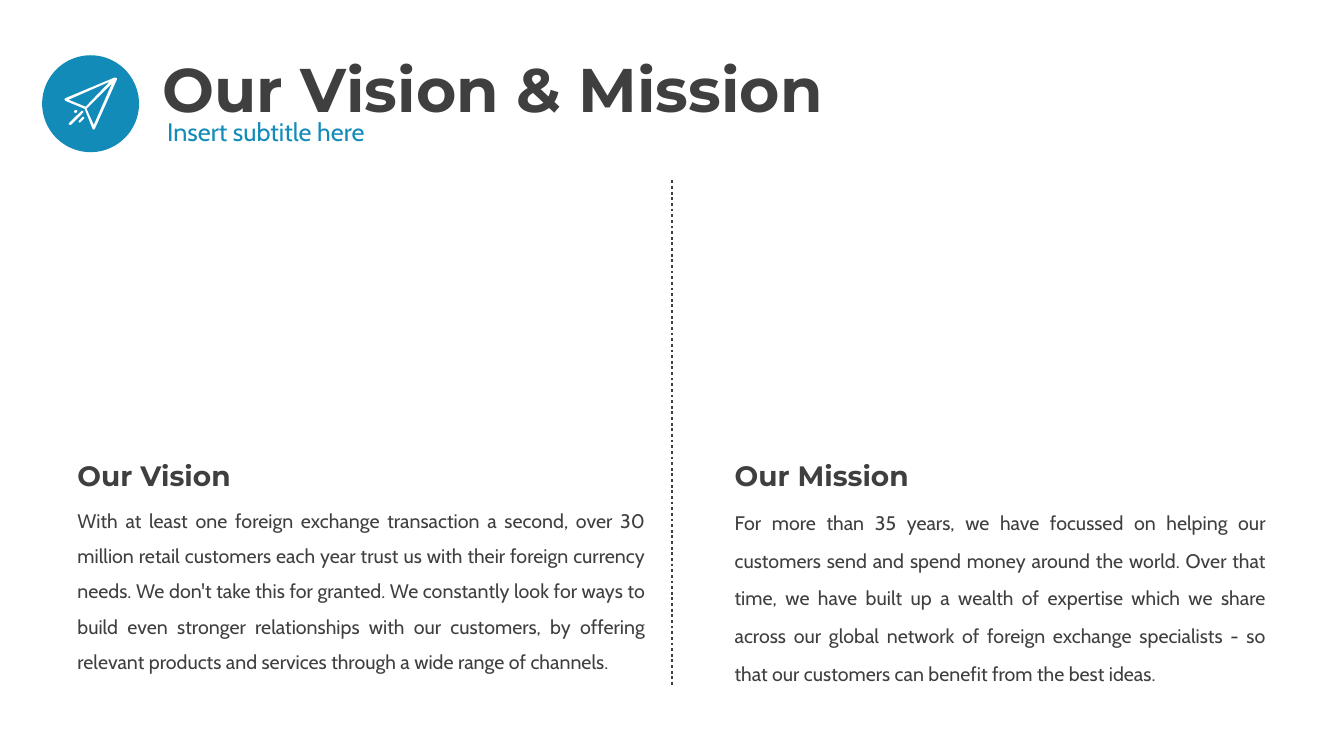
from lxml import etree
from pptx import Presentation
from pptx.dml.color import RGBColor
from pptx.enum.dml import MSO_LINE_DASH_STYLE as DASH
from pptx.enum.shapes import MSO_CONNECTOR, MSO_SHAPE
from pptx.enum.text import MSO_ANCHOR, MSO_AUTO_SIZE, PP_ALIGN
from pptx.oxml.ns import qn
from pptx.util import Pt

COLORS = {"ink": "3F3F3F", "blue": "138BB9", "white": "FFFFFF"}
HEADING, BODY = "Montserrat", "Cabin"


def write(shape, text, size, font=BODY, color="ink", bold=False,
          align=PP_ALIGN.LEFT, spacing=1.0, anchor=MSO_ANCHOR.TOP):
    frame = shape.text_frame
    frame.word_wrap = True
    frame.auto_size = MSO_AUTO_SIZE.NONE
    frame.vertical_anchor = anchor
    frame.text = text
    paragraph = frame.paragraphs[0]
    paragraph.alignment = align
    paragraph.line_spacing = spacing
    style = paragraph.runs[0].font
    style.name, style.size, style.bold = font, Pt(size), bold
    style.color.rgb = RGBColor.from_string(COLORS[color])


def paint(shape, color):
    shape.shadow.inherit = False
    shape.fill.solid()
    shape.fill.fore_color.rgb = RGBColor.from_string(COLORS[color])
    shape.line.fill.background()


deck = Presentation()
deck.slide_width, deck.slide_height = Pt(960), Pt(540)
slide = deck.slides.add_slide(deck.slide_layouts[5])
shapes = slide.shapes

# Header
title = shapes.title
title.left, title.top, title.width, title.height = Pt(108.7), Pt(28.8), Pt(792), Pt(74.2)
write(title, "Our Vision & Mission", 44, HEADING, bold=True, spacing=0.9,
      anchor=MSO_ANCHOR.MIDDLE)
subtitle = shapes.add_textbox(Pt(112.3), Pt(82.1), Pt(794), Pt(46.8))
write(subtitle, "Insert subtitle here", 18, color="blue", spacing=0.9)

# Paper plane badge
badge = shapes.add_shape(MSO_SHAPE.OVAL, Pt(30.1), Pt(39.5), Pt(69.2), Pt(69.2))
paint(badge, "blue")
plane_contours = [
    # body, then its two cut-out wings
    [(82.8, 55.4), (81.9, 55.4), (46.4, 70.3), (46.1, 71.2), (46.6, 72), (60.5, 77.8),
     (66.2, 92.2), (67, 92.7), (67.7, 92.2), (83.5, 56.9), (83.5, 56)],
    [(49, 71.3), (78.5, 58.3), (61.2, 76.3)],
    [(67, 89.3), (61.9, 77.8), (79.9, 59.8)],
    # dot and two streaks
    [(53, 79.2), (54.2, 78.5), (55.4, 79.2), (55, 80.2), (54, 80.7), (53, 80.3)],
    [(58.3, 79.2), (59.4, 79.3), (59.6, 80.2), (59, 80.9), (51, 89.1), (50, 89.3),
     (49, 88.6), (49.6, 87.6)],
    [(59, 83.5), (60.2, 83.7), (60.1, 84.7), (57.6, 87.3), (56.6, 87.7), (56.1, 86.6)],
]
first_x, first_y = plane_contours[0][0]
plane_builder = shapes.build_freeform(Pt(first_x), Pt(first_y))
for number, contour in enumerate(plane_contours):
    points = [(Pt(x), Pt(y)) for x, y in contour]
    if number:
        plane_builder.move_to(*points[0])
    plane_builder.add_line_segments(points[1:], close=True)
paint(plane_builder.convert_to_shape(), "white")

# Two columns: left, heading width, body width, line spacing, heading, body
columns = [
    (48.2, 312, 420, 1.5, "Our Vision",
     "With at least one foreign exchange transaction a second, over 30 million retail "
     "customers each year trust us with their foreign currency needs. We don't take this "
     "for granted. We constantly look for ways to build even stronger relationships with "
     "our customers, by offering relevant products and services through a wide range of "
     "channels."),
    (517.7, 247, 393.8, 1.6, "Our Mission",
     "For more than 35 years, we have focussed on helping our customers send and spend "
     "money around the world. Over that time, we have built up a wealth of expertise which "
     "we share across our global network of foreign exchange specialists - so that our "
     "customers can benefit from the best ideas."),
]
for left, heading_width, body_width, spacing, heading, body in columns:
    heading_box = shapes.add_textbox(Pt(left), Pt(324), Pt(heading_width), Pt(31.7))
    write(heading_box, heading, 20, HEADING, bold=True)
    body_box = shapes.add_textbox(Pt(left), Pt(351.4), Pt(body_width), Pt(213.8))
    write(body_box, body, 14, align=PP_ALIGN.JUSTIFY, spacing=spacing)

divider = shapes.add_connector(MSO_CONNECTOR.STRAIGHT, Pt(480), Pt(128.9), Pt(480), Pt(489.6))
divider.line.width = Pt(2)
divider.line.color.rgb = RGBColor.from_string(COLORS["ink"])
divider.line.dash_style = DASH.ROUND_DOT
etree.SubElement(divider._element.spPr, qn("a:effectLst"))

deck.save("out.pptx")
